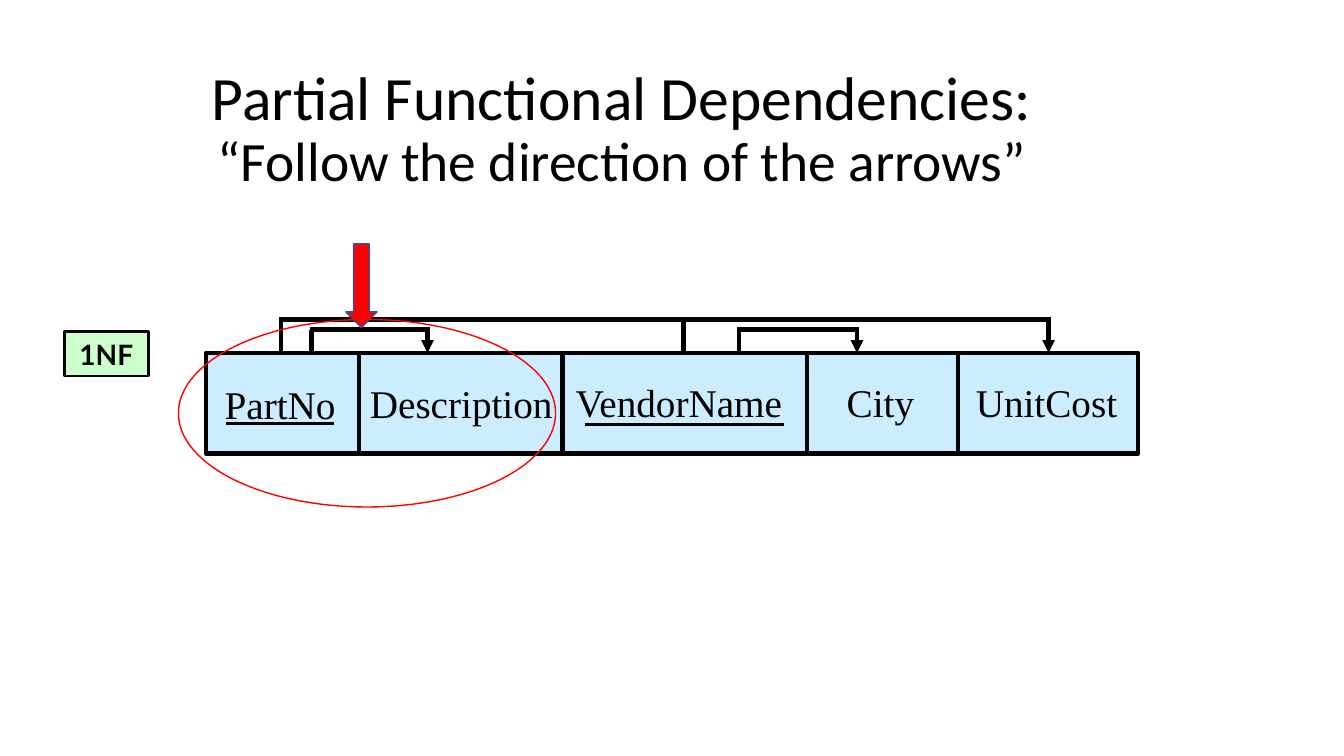
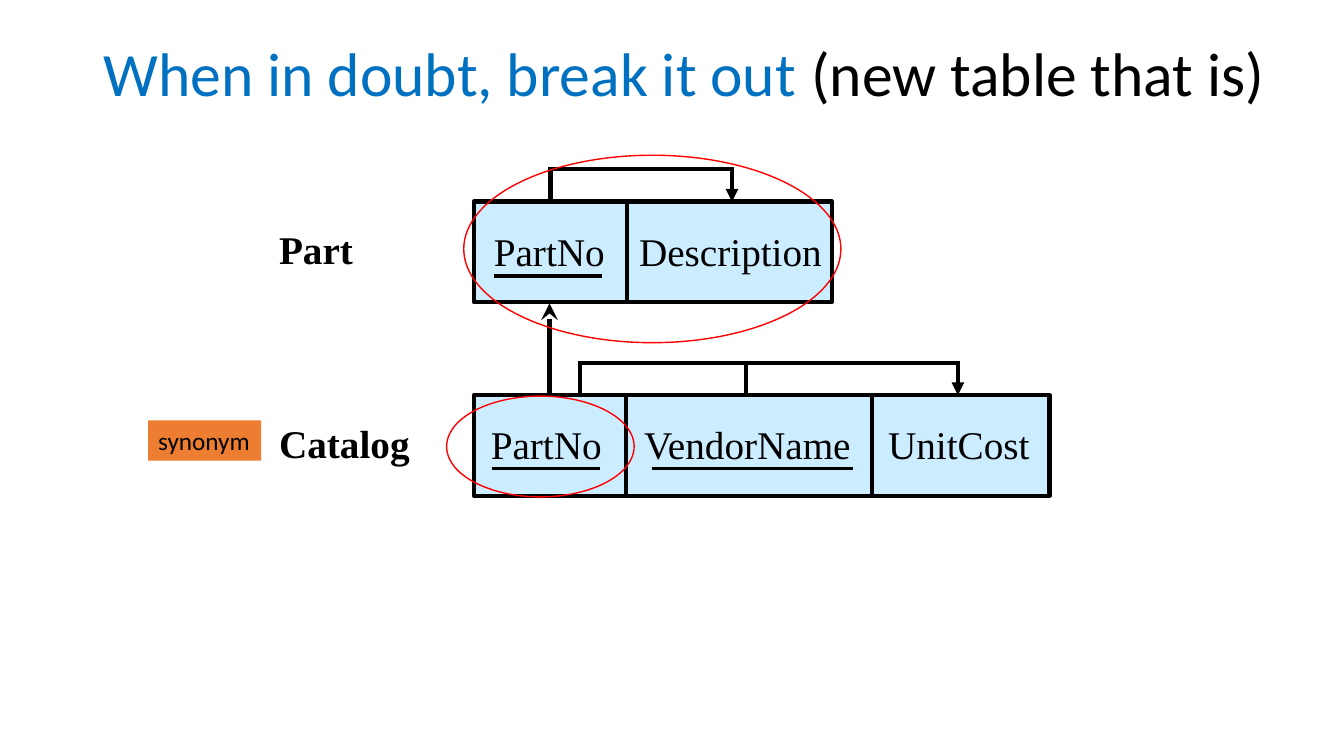
from pptx import Presentation
from pptx.dml.color import RGBColor
from pptx.enum.shapes import MSO_CONNECTOR, MSO_SHAPE
from pptx.enum.text import MSO_ANCHOR, MSO_AUTO_SIZE, PP_ALIGN
from pptx.oxml.ns import qn
from pptx.util import Inches, Pt
from lxml.etree import SubElement


class Theme:
    black, red, blue = "000000", "FF0000", "0070C0"
    cell, green, orange, edge = "CCECFF", "CCFFCC", "ED7D31", "325491"
    head, serif, tag = "Calibri", "Times New Roman", "Lato"
    title, sub, name, badge, note = 44, 39.6, 28, 20, 18
    thick, under, thin = 3, 2.5, 1


# Content: runs are (text, size, colour); "\n" breaks the line
# Fields are (name, left, top, underline as (left, right, y) or None)
# Links are (rail y, source columns, target column)
SLIDES = [
    dict(
        title=((1.17, 0.67, 10, 1.25), [
            ("Partial Functional Dependencies:", Theme.title, Theme.black),
            ("\n", 0, ""),
            ("“Follow the direction of the arrows”", Theme.sub, Theme.black)]),
        tables=[
            dict(top=3.5, edges=[2.04, 3.56, 5.58, 8, 9.5, 11.29],
                 fields=[("PartNo", 2.13, 3.72, (2.24, 3.31, 4.2)),
                         ("Description", 3.57, 3.71, None),
                         ("VendorName", 5.61, 3.7, (5.8, 7.78, 4.21)),
                         ("City", 8.3, 3.7, None),
                         ("UnitCost", 9.58, 3.7, None)],
                 links=[(3.27, [3.09], 4.24), (3.27, [7.33], 8.5),
                        (3.17, [2.79, 6.78], 10.4)])],
        labels=[],
        refs=[],
        pointers=[(3.43, 2.42, 0.31, 0.83)],
        badges=[((0.64, 3.29, 0.83, 0.44), "1NF", Theme.green, Theme.black,
                 Theme.badge, Theme.tag, True)],
        rings=[(1.77, 3.17, 3.74, 1.86)]),
    dict(
        title=((0.61, 0.13, 12.35, 1.25), [
            ("When in doubt, break it out ", Theme.title, Theme.blue),
            ("(new table that is)", Theme.title, Theme.black)]),
        tables=[
            dict(top=2, edges=[4.7, 6.22, 8.25],
                 fields=[("PartNo", 4.8, 2.21, (4.9, 5.97, 2.74)),
                         ("Description", 6.24, 2.21, None)],
                 links=[(1.68, [5.46], 7.26)]),
            dict(top=3.92, edges=[4.7, 6.21, 8.65, 10.41],
                 fields=[("PartNo", 4.77, 4.12, (4.88, 5.95, 4.65)),
                         ("VendorName", 6.29, 4.12, (6.47, 8.46, 4.65)),
                         ("UnitCost", 8.71, 4.12, None)],
                 links=[(3.6, [5.75, 7.4], 9.5)])],
        labels=[("Part", 2.67, 2.19), ("Catalog", 2.67, 4.11)],
        refs=[(5.45, 3.93, 3.01)],
        pointers=[],
        badges=[((1.47, 4.17, 1.12, 0.4), "synonym", Theme.orange, None,
                 Theme.note, Theme.head, False)],
        rings=[(4.6, 1.54, 3.74, 1.86), (4.43, 3.93, 1.86, 1)]),
]
HIGH = 1
WIDE = {"PartNo": 1.3, "Description": 2.01, "VendorName": 2.3, "City": 0.87,
        "UnitCost": 1.6, "Part": 0.94, "Catalog": 1.5}


# Drawing helpers
def tint(code):
    return RGBColor.from_string(code)


def box(slide, kind, area, fill, line, width=Theme.thin):
    shape = slide.shapes.add_shape(kind, *map(Inches, area))
    shape.shadow.inherit = False
    if fill:
        shape.fill.solid()
        shape.fill.fore_color.rgb = tint(fill)
    else:
        shape.fill.background()
    if line:
        shape.line.color.rgb = tint(line)
        shape.line.width = Pt(width)
    else:
        shape.line.fill.background()
    return shape


def rule(slide, start, end, width=Theme.thick, tip=None):
    line = slide.shapes.add_connector(
        MSO_CONNECTOR.STRAIGHT, *map(Inches, start + end))
    line.line.color.rgb = tint(Theme.black)
    line.line.width = Pt(width)
    if tip:
        SubElement(line.line._get_or_add_ln(), qn("a:tailEnd"), type=tip)
    SubElement(line._element.spPr, qn("a:effectLst"))


def write(para, text, size, font, color=Theme.black, bold=False):
    run = para.add_run()
    run.text = text
    run.font.size, run.font.name, run.font.bold = Pt(size), font, bold
    run.font.color.rgb = tint(color)


def label(slide, text, left, top, bold=False):
    area = (left, top, WIDE[text], 0.57)
    frame = slide.shapes.add_textbox(*map(Inches, area)).text_frame
    frame.word_wrap = False
    frame.auto_size = MSO_AUTO_SIZE.SHAPE_TO_FIT_TEXT
    write(frame.paragraphs[0], text, Theme.name, Theme.serif, bold=bold)


def heading(slide, area, runs):
    frame = slide.shapes.add_textbox(*map(Inches, area)).text_frame
    frame.word_wrap = True
    frame.vertical_anchor = MSO_ANCHOR.MIDDLE
    para = frame.paragraphs[0]
    para.alignment, para.line_spacing = PP_ALIGN.CENTER, 0.9
    for text, size, color in runs:
        if text == "\n":
            para.add_line_break()
        else:
            write(para, text, size, Theme.head, color)


def badge(slide, area, text, fill, line, size, font, bold):
    frame = box(slide, MSO_SHAPE.RECTANGLE, area, fill, line, 2).text_frame
    frame.word_wrap = True
    frame.vertical_anchor = MSO_ANCHOR.MIDDLE
    para = frame.paragraphs[0]
    para.alignment = PP_ALIGN.CENTER if bold else PP_ALIGN.LEFT
    write(para, text, size, font, bold=bold)


def table(slide, top, edges, fields, links):
    left, right = edges[0], edges[-1]
    box(slide, MSO_SHAPE.RECTANGLE, (left, top, right - left, HIGH),
        Theme.cell, Theme.black, Theme.thick)
    for x in edges[1:-1]:
        rule(slide, (x, top), (x, top + HIGH))
    for text, x, y, key in fields:
        label(slide, text, x, y)
        if key:
            start, end, low = key
            rule(slide, (start, low), (end, low), Theme.under)
    # Each link: drops from the rail, an arrow, then the rail itself
    for rail, roots, goal in links:
        for x in roots:
            rule(slide, (x, rail), (x, top))
        rule(slide, (goal, rail), (goal, top), tip="triangle")
        rule(slide, (roots[0] - 0.02, rail), (goal + 0.02, rail))


# Build the slides
deck = Presentation()
deck.slide_width, deck.slide_height = Inches(13.33), Inches(7.5)
for data in SLIDES:
    slide = deck.slides.add_slide(deck.slide_layouts[6])
    heading(slide, *data["title"])
    for part in data["tables"]:
        table(slide, **part)
    for x, start, end in data["refs"]:
        rule(slide, (x, start), (x, end), 4, "stealth")
    for text, x, y in data["labels"]:
        label(slide, text, x, y, bold=True)
    for area in data["pointers"]:
        box(slide, MSO_SHAPE.DOWN_ARROW, area, Theme.red, Theme.edge)
    for item in data["badges"]:
        badge(slide, *item)
    for area in data["rings"]:
        box(slide, MSO_SHAPE.OVAL, area, None, Theme.red)
deck.save("out.pptx")
